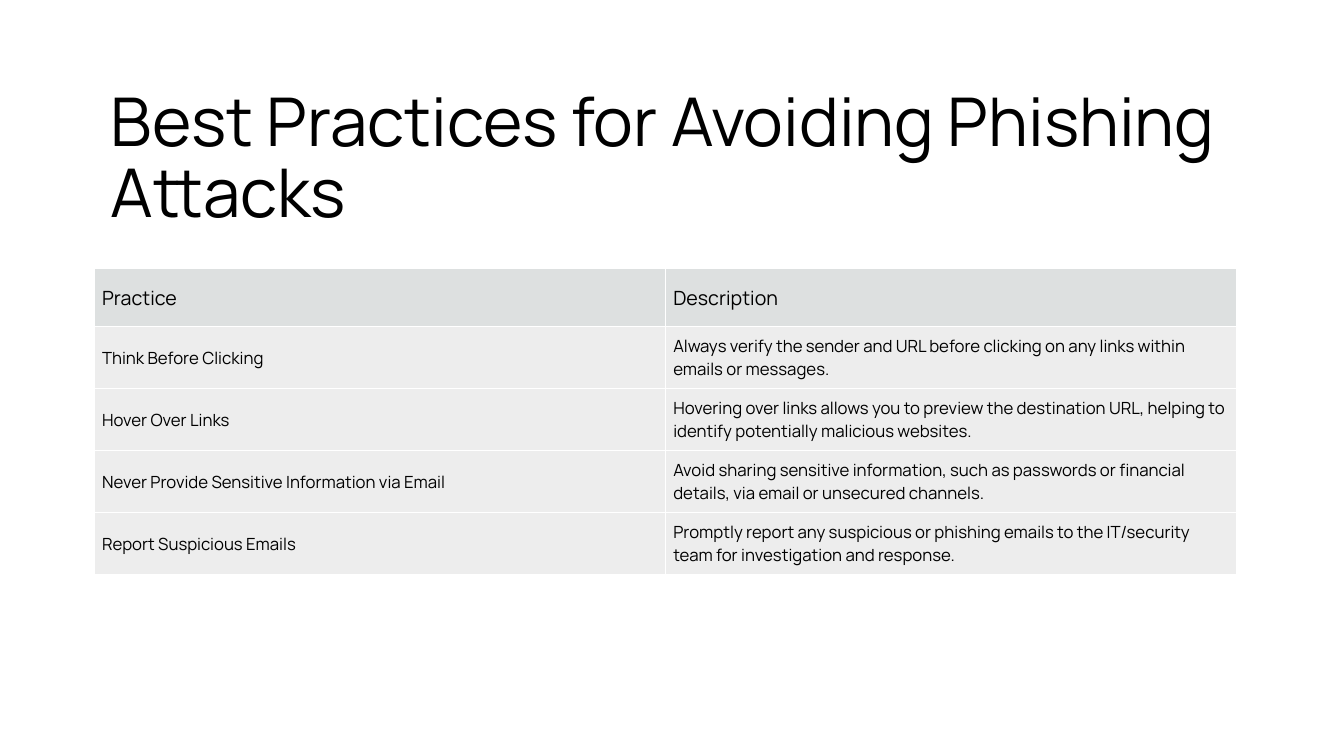
from lxml import etree
from pptx import Presentation
from pptx.dml.color import RGBColor
from pptx.enum import text
from pptx.oxml.ns import qn
from pptx.util import Pt

HUES = {"ink": "000000", "head": "DDE0E0", "body": "EDEDED", "line": "FFFFFF"}
FACE = "Manrope"
ROWS = [
    ("Practice", "Description"),
    ("Think Before Clicking",
     "Always verify the sender and URL before clicking on any links within emails or messages."),
    ("Hover Over Links",
     "Hovering over links allows you to preview the destination URL, helping to identify "
     "potentially malicious websites."),
    ("Never Provide Sensitive Information via Email",
     "Avoid sharing sensitive information, such as passwords or financial details, via email "
     "or unsecured channels."),
    ("Report Suspicious Emails",
     "Promptly report any suspicious or phishing emails to the IT/security team for "
     "investigation and response."),
]


class Deck:
    def __init__(self, wide, high):
        self.prs = Presentation()
        self.prs.slide_width, self.prs.slide_height = Pt(wide), Pt(high)
        self.slide = self.prs.slides.add_slide(self.prs.slide_layouts[5])

    def style(self, para, size):
        para.alignment = text.PP_ALIGN.LEFT
        font = para.font
        font.name, font.size, font.bold = FACE, Pt(size), False
        font.color.rgb = RGBColor.from_string(HUES["ink"])

    def pad(self, box, gap):
        box.margin_left = box.margin_right = Pt(gap)
        box.margin_top = box.margin_bottom = Pt(gap)

    def title(self, words, left, top, wide, high):
        shape = self.slide.shapes.title
        shape.left, shape.top = Pt(left), Pt(top)
        shape.width, shape.height = Pt(wide), Pt(high)
        frame = shape.text_frame
        frame.text = words
        frame.word_wrap = True
        frame.auto_size = text.MSO_AUTO_SIZE.NONE
        frame.vertical_anchor = text.MSO_ANCHOR.TOP
        self.pad(frame, 7.2)
        para = frame.paragraphs[0]
        para.line_spacing = 0.88
        self.style(para, 48)

    def border(self, cell):
        """Draw a one-point line on all four sides, placed ahead of the fill."""
        props = cell._tc.get_or_add_tcPr()
        for spot, side in enumerate(("lnL", "lnR", "lnT", "lnB")):
            line = etree.Element(qn("a:" + side), w=str(Pt(1)))
            fill = etree.SubElement(line, qn("a:solidFill"))
            etree.SubElement(fill, qn("a:srgbClr"), val=HUES["line"])
            props.insert(spot, line)

    def cell(self, cell, words, size, hue):
        cell.text = words
        cell.vertical_anchor = text.MSO_ANCHOR.MIDDLE
        self.pad(cell, 5.75)
        cell.fill.solid()
        cell.fill.fore_color.rgb = RGBColor.from_string(HUES[hue])
        self.border(cell)
        self.style(cell.text_frame.paragraphs[0], size)

    def table(self, rows, left, top, wide, high):
        frame = self.slide.shapes.add_table(
            len(rows), len(rows[0]), Pt(left), Pt(top), Pt(wide), Pt(high))
        table = frame.table
        table.first_row = table.horz_banding = False
        for r, row in enumerate(rows):
            size, hue = (12, "body") if r else (14, "head")
            for c, words in enumerate(row):
                self.cell(table.cell(r, c), words, size, hue)


def main():
    deck = Deck(960, 540)
    deck.table(ROWS, 67.2, 192, 816, 206.5)
    deck.title("Best Practices for Avoiding Phishing Attacks", 72, 57, 822, 104)
    deck.prs.save("out.pptx")


if __name__ == "__main__":
    main()
